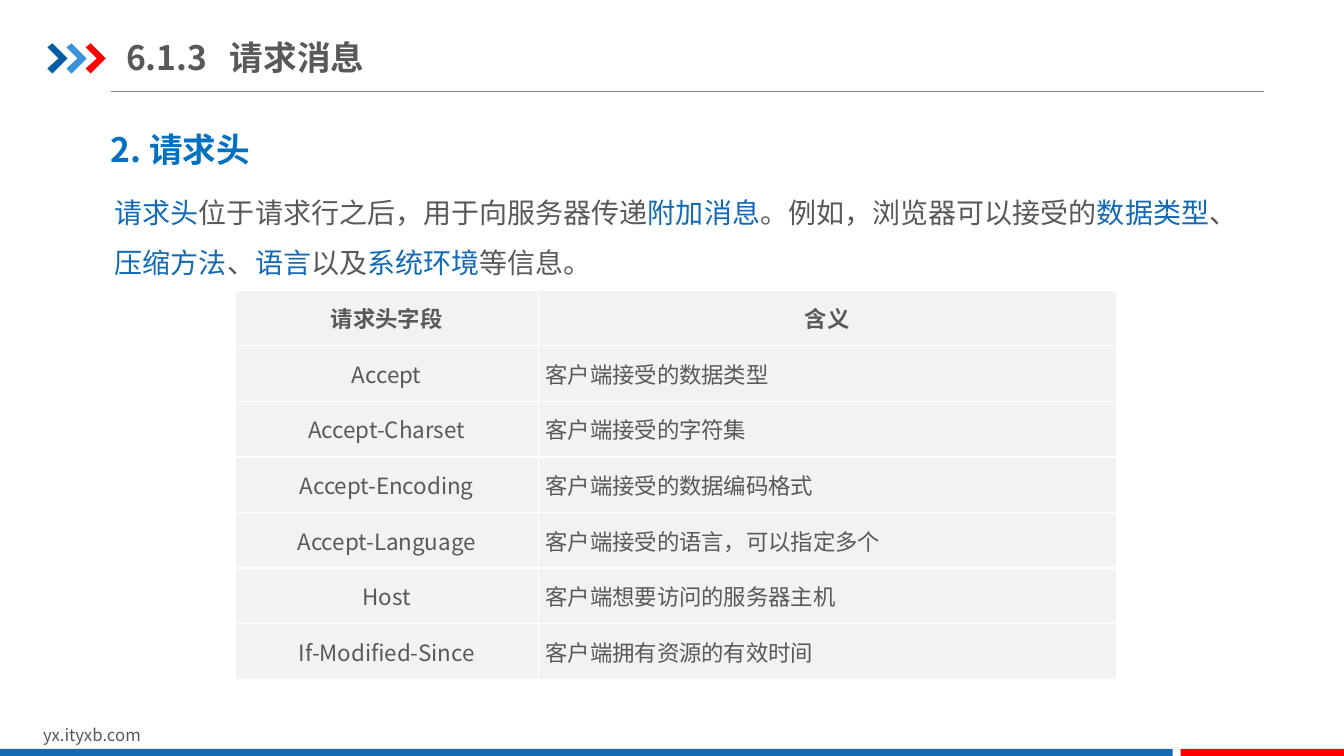
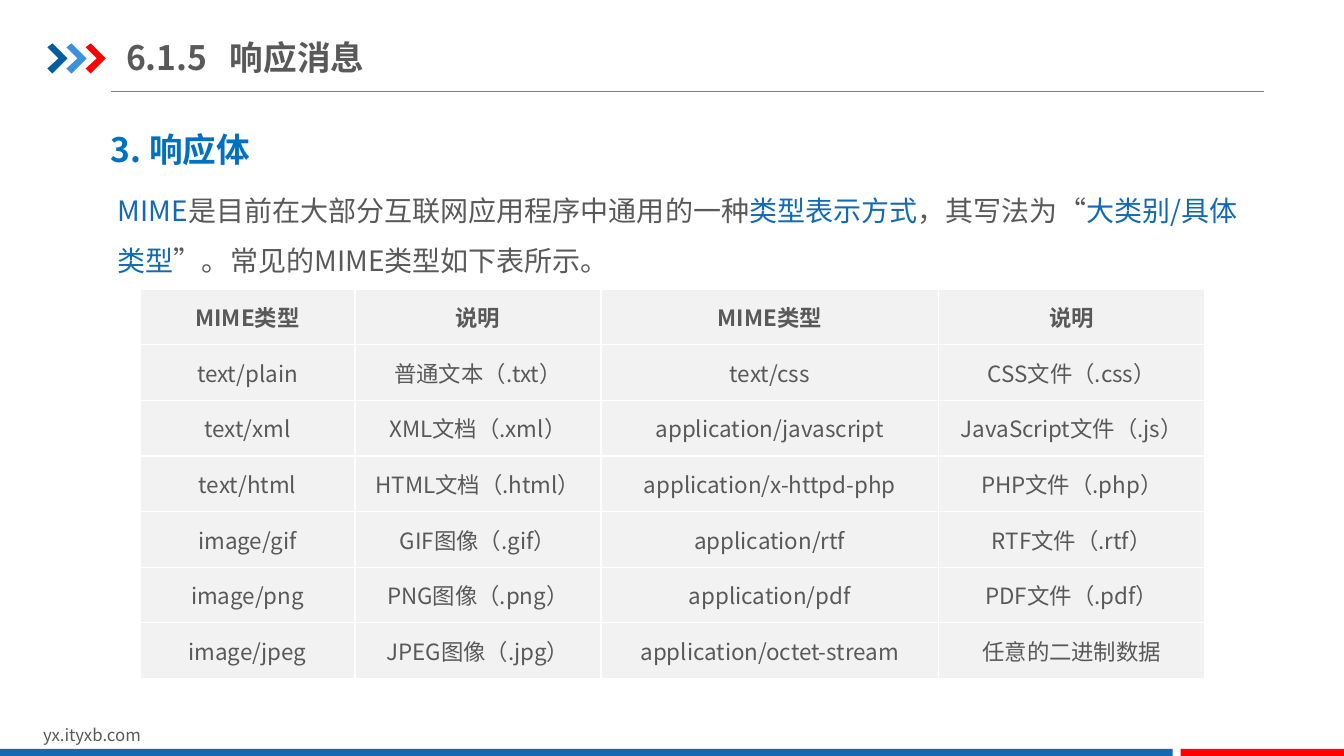
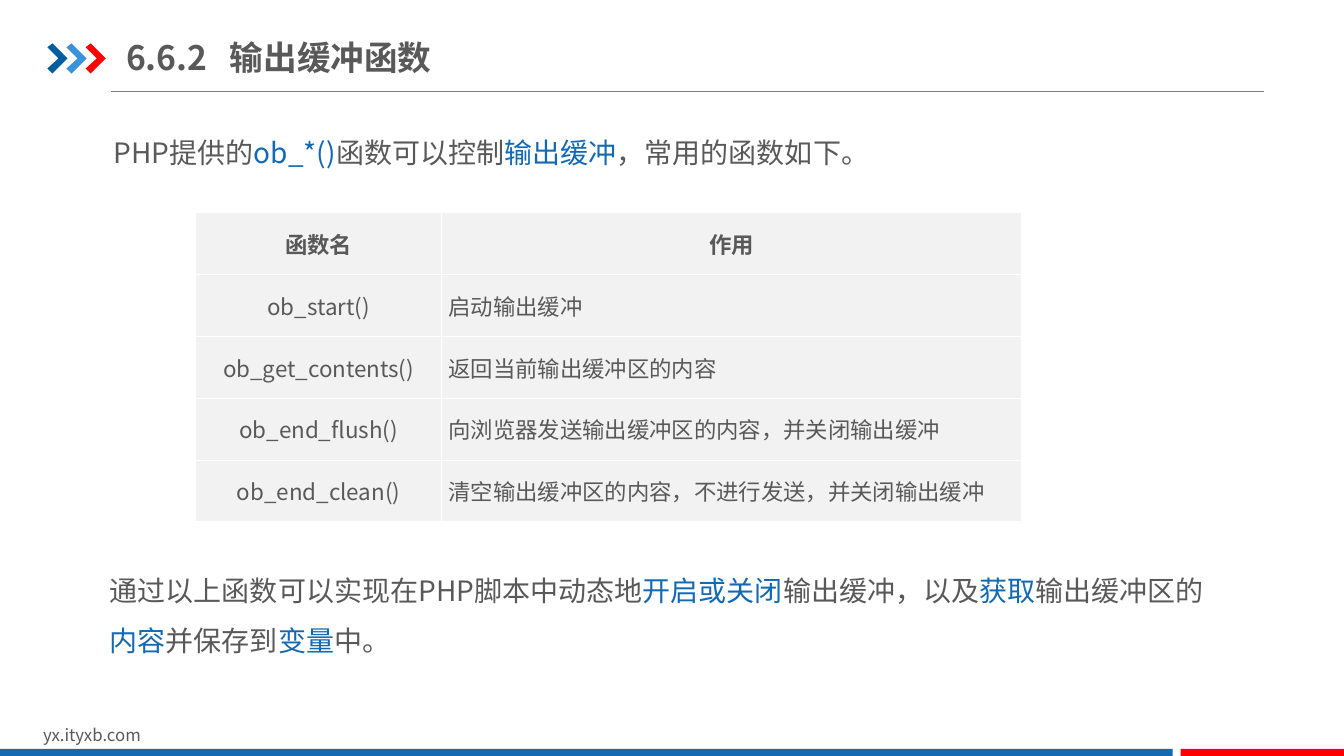
from lxml import etree
from pptx import Presentation
from pptx.dml.color import RGBColor
from pptx.enum.lang import MSO_LANGUAGE_ID as Language
from pptx.enum.shapes import MSO_CONNECTOR as Connector, MSO_SHAPE as Shape
from pptx.enum.text import MSO_ANCHOR as Anchor, MSO_AUTO_SIZE as AutoSize, PP_ALIGN as Align
from pptx.oxml.ns import qn
from pptx.util import Pt

EMU_PER_PX = 9144  # 100 px to the inch
PAGE_WIDTH, PAGE_HEIGHT = 1333, 750
FONT = "Noto Sans CJK SC"

GREY_TEXT = RGBColor(0x59, 0x59, 0x59)
BLUE_TEXT = RGBColor(0x13, 0x69, 0xB3)
HEADING_BLUE = RGBColor(0x00, 0x70, 0xC0)
BAND_BLUE = RGBColor(0x13, 0x69, 0xB2)
DARK_BLUE = RGBColor(0x00, 0x5D, 0xA2)
LIGHT_BLUE = RGBColor(0x39, 0x92, 0xDB)
RED = RGBColor(0xFF, 0x00, 0x00)
RULE_GREY = RGBColor(0x80, 0x80, 0x80)
CELL_GREY = RGBColor(0xF2, 0xF2, 0xF2)

FOOTER = "yx.ityxb.com"
BANDS = [(0, 1163, BAND_BLUE), (1171, PAGE_WIDTH - 1171, RED)]
BAND_TOP = 743
CHEVRON = [(0, 47), (5, 43), (20, 58), (5, 73), (0, 68), (11, 58)]
CHEVRON_COLOURS = [DARK_BLUE, LIGHT_BLUE, RED]
CHEVRON_LEFT, CHEVRON_STEP = 47, 19
TITLE_AREA = (125, 29, 426, 55)
TITLE_TAB = 103
HEADING_AREA = (100, 123, 438, 50)
CENTRE, JUSTIFY = Align.CENTER, Align.JUSTIFY

# In body text, bars enclose the highlighted words.
SLIDES = [
    {
        "title": ("6.1.3", "请求消息"),
        "heading": "2. 请求头",
        "texts": [
            {"area": (104, 172, 1153, 111), "spacing": 1.5, "lines": [
                "|请求头|位于请求行之后，用于向服务器传递|附加消息|。例如，浏览器可以接受的"
                "|数据类型|、|压缩方法|、|语言|以及|系统环境|等信息。"]},
        ],
        "table": {
            "area": (233, 288, 874, 386),
            "columns": [(301, CENTRE), (573, JUSTIFY)],
            "rows": [
                ("请求头字段", "含义"),
                ("Accept", "客户端接受的数据类型"),
                ("Accept-Charset", "客户端接受的字符集"),
                ("Accept-Encoding", "客户端接受的数据编码格式"),
                ("Accept-Language", "客户端接受的语言，可以指定多个"),
                ("Host", "客户端想要访问的服务器主机"),
                ("If-Modified-Since", "客户端拥有资源的有效时间"),
            ],
        },
    },
    {
        "title": ("6.1.5", "响应消息"),
        "heading": "3. 响应体",
        "texts": [
            {"area": (107, 170, 1142, 111), "spacing": 1.5, "lines": [
                "|MIME|是目前在大部分互联网应用程序中通用的一种|类型表示方式|，其写法为“"
                "|大类别/具体类型|”。常见的MIME类型如下表所示。"]},
        ],
        "table": {
            "area": (139, 287, 1055, 386),
            "columns": [(213, CENTRE), (244, CENTRE), (335, CENTRE), (264, CENTRE)],
            "rows": [
                ("MIME类型", "说明", "MIME类型", "说明"),
                ("text/plain", "普通文本（.txt）", "text/css", "CSS文件（.css）"),
                ("text/xml", "XML文档（.xml）", "application/javascript", "JavaScript文件（.js）"),
                ("text/html", "HTML文档（.html）", "application/x-httpd-php", "PHP文件（.php）"),
                ("image/gif", "GIF图像（.gif）", "application/rtf", "RTF文件（.rtf）"),
                ("image/png", "PNG图像（.png）", "application/pdf", "PDF文件（.pdf）"),
                ("image/jpeg", "JPEG图像（.jpg）", "application/octet-stream", "任意的二进制数据"),
            ],
        },
    },
    {
        "title": ("6.6.2", "输出缓冲函数"),
        "heading": None,
        "texts": [
            {"area": (103, 130, 1126, 43), "spacing": 1, "lines": [
                "PHP提供的|ob_*()|函数可以控制|输出缓冲|，常用的函数如下。"]},
            {"area": (99, 547, 1133, 105), "spacing": 1.5, "lines": [
                "通过以上函数可以实现在PHP脚本中动态地|开启或关闭|输出缓冲，以及|获取|输出缓冲区的",
                "|内容|并保存到|变量|中。"]},
        ],
        "table": {
            "area": (194, 211, 819, 307),
            "columns": [(244, CENTRE), (575, JUSTIFY)],
            "rows": [
                ("函数名", "作用"),
                ("ob_start()", "启动输出缓冲"),
                ("ob_get_contents()", "返回当前输出缓冲区的内容"),
                ("ob_end_flush()", "向浏览器发送输出缓冲区的内容，并关闭输出缓冲"),
                ("ob_end_clean()", "清空输出缓冲区的内容，不进行发送，并关闭输出缓冲"),
            ],
        },
    },
]


def px(*lengths):
    return [length * EMU_PER_PX for length in lengths]


def add_span(para, text, size, colour=GREY_TEXT, bold=False):
    span = para.add_run()
    span.text = text
    font = span.font
    font.size, font.bold, font.name = Pt(size), bold, FONT
    font.color.rgb = colour
    font.language_id = Language.SIMPLIFIED_CHINESE
    etree.SubElement(span._r.get_or_add_rPr(), qn("a:ea"), typeface=FONT)


def add_box(page, area):
    frame = page.shapes.add_textbox(*px(*area)).text_frame
    frame.word_wrap = True
    return frame


def paint(shape, colour):
    shape.shadow.inherit = False
    shape.fill.solid()
    shape.fill.fore_color.rgb = colour
    shape.line.fill.background()


def add_decoration(page):
    """Draw the chevrons, title rule, footer and bands found on every slide."""
    rule = page.shapes.add_connector(Connector.STRAIGHT, *px(110, 91, 1254, 91))
    rule.line.color.rgb = RULE_GREY
    rule.line.width = Pt(0.75)
    etree.SubElement(rule._element.spPr, qn("a:effectLst"))

    for index, colour in enumerate(CHEVRON_COLOURS):
        left = CHEVRON_LEFT + index * CHEVRON_STEP
        points = [(left + x, y) for x, y in CHEVRON]
        outline = page.shapes.build_freeform(*points[0], scale=EMU_PER_PX)
        outline.add_line_segments(points[1:], close=True)
        paint(outline.convert_to_shape(), colour)

    footer = add_box(page, (33, 714, 318, 30))
    add_span(footer.paragraphs[0], FOOTER, 12)
    for left, width, colour in BANDS:
        area = px(left, BAND_TOP, width, PAGE_HEIGHT - BAND_TOP)
        paint(page.shapes.add_shape(Shape.RECTANGLE, *area), colour)


def set_title(page, number, name):
    title = page.shapes.title
    title.left, title.top, title.width, title.height = px(*TITLE_AREA)
    frame = title.text_frame
    frame.auto_size = AutoSize.NONE
    frame.vertical_anchor = Anchor.MIDDLE
    frame.margin_left = frame.margin_right = 0
    para = frame.paragraphs[0]
    para.alignment = Align.LEFT
    tabs = etree.SubElement(para._p.get_or_add_pPr(), qn("a:tabLst"))
    etree.SubElement(tabs, qn("a:tab"), pos=str(TITLE_TAB * EMU_PER_PX), algn="l")
    add_span(para, f"{number}\t{name}", 24, bold=True)


def add_body(page, area, spacing, lines):
    frame = add_box(page, area)
    for index, line in enumerate(lines):
        para = frame.add_paragraph() if index else frame.paragraphs[0]
        para.line_spacing = spacing
        for position, text in enumerate(line.split("|")):
            if text:
                add_span(para, text, 20, BLUE_TEXT if position % 2 else GREY_TEXT)


def add_grid(page, area, columns, rows):
    table = page.shapes.add_table(len(rows), len(columns), *px(*area)).table
    table.first_row = table.horz_banding = False
    for column, (width, _) in zip(table.columns, columns):
        column.width = width * EMU_PER_PX
    for row_index, row in enumerate(rows):
        is_header = row_index == 0
        for column_index, text in enumerate(row):
            cell = table.cell(row_index, column_index)
            cell.fill.solid()
            cell.fill.fore_color.rgb = CELL_GREY
            cell.vertical_anchor = Anchor.MIDDLE
            cell.margin_left = cell.margin_right = 7 * EMU_PER_PX
            cell.margin_top = cell.margin_bottom = 0
            para = cell.text_frame.paragraphs[0]
            para.alignment = CENTRE if is_header else columns[column_index][1]
            add_span(para, text, 16, bold=is_header)


def main():
    deck = Presentation()
    deck.slide_width, deck.slide_height = px(PAGE_WIDTH, PAGE_HEIGHT)
    title_only = deck.slide_layouts[5]
    for content in SLIDES:
        page = deck.slides.add_slide(title_only)
        add_decoration(page)
        set_title(page, *content["title"])
        if content["heading"]:
            heading = add_box(page, HEADING_AREA)
            add_span(heading.paragraphs[0], content["heading"], 24, HEADING_BLUE, bold=True)
        for text in content["texts"]:
            add_body(page, **text)
        add_grid(page, **content["table"])
    deck.save("out.pptx")


if __name__ == "__main__":
    main()
